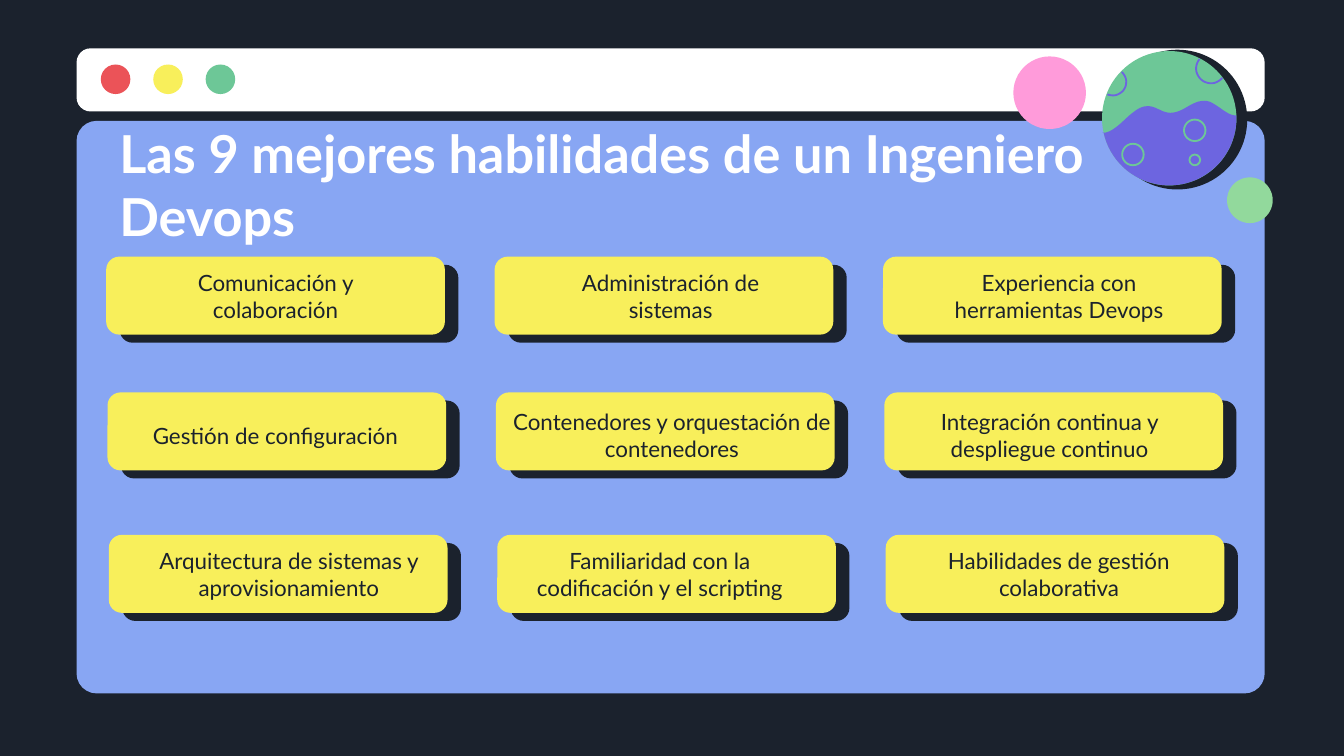
from dataclasses import dataclass
from math import atan2, cos, hypot, pi, sin

from pptx import Presentation
from pptx.dml.color import RGBColor
from pptx.enum.shapes import MSO_SHAPE
from pptx.enum.text import MSO_ANCHOR, PP_ALIGN
from pptx.shapes.autoshape import Shape
from pptx.slide import Slide
from pptx.util import Inches, Pt

OVAL, ROUNDED = MSO_SHAPE.OVAL, MSO_SHAPE.ROUNDED_RECTANGLE
LEFT, CENTER, MIDDLE = PP_ALIGN.LEFT, PP_ALIGN.CENTER, MSO_ANCHOR.MIDDLE

DARK, WHITE, BLUE, YELLOW = "1B222D", "FFFFFF", "88A6F3", "F8EF5B"
RED, GREEN, PURPLE, PINK, LIME = "EB5358", "6DC797", "6D65E0", "FF9BDA", "92D99C"

SLIDE_WIDTH = 10
SLIDE_HEIGHT = SLIDE_WIDTH * 9 / 16
UNITS_PER_INCH = 1000
GRID_LEFT, COLUMN_PITCH, ROW_SHIFT = 0.79, 2.89, 0.01
ROW_TOPS = (1.91, 2.92, 3.98)
LABEL_DROPS = (0, 0.03, 0)
CARD_WIDTH, CARD_HEIGHT = 2.52, 0.58
SHADOW_RIGHT, SHADOW_DOWN = 0.1, 0.06

Point = tuple[float, float]


@dataclass
class Disc:
    x: float
    y: float
    radius: float
    color: str


@dataclass
class Card:
    column: int
    row: int
    text: str
    label_shift: float
    label_width: float


PLANET = Disc(8.7, 0.88, 0.5, GREEN)
WINDOW_BUTTONS = [Disc(0.86 + 0.39 * index, 0.59, 0.11, color)
                  for index, color in enumerate((RED, YELLOW, GREEN))]
MOONS = [Disc(9.3, 1.49, 0.17, LIME), Disc(7.81, 0.69, 0.27, PINK)]
SEA_CRATERS = [Disc(8.43, 1.15, 0.08, GREEN), Disc(8.89, 0.97, 0.08, GREEN),
               Disc(8.89, 1.19, 0.04, GREEN)]
EDGE_CRATERS = [Disc(8.28, 0.61, 0.1, PURPLE), Disc(9.01, 0.51, 0.11, PURPLE)]
SHORE = [(8.2, 0.99), (8.54, 0.79), (8.71, 0.84), (8.96, 0.75), (9.2, 0.86)]

CARDS = [
    Card(0, 0, "Comunicación y colaboración", 0.2, 2.12),
    Card(1, 0, "Administración de sistemas", 0.25, 2.12),
    Card(2, 0, "Experiencia con herramientas Devops", 0.25, 2.12),
    Card(0, 1, "Gestión de configuración", 0.08, 2.34),
    Card(1, 1, "Contenedores y orquestación de contenedores", -0.09, 2.8),
    Card(2, 1, "Integración continua y despliegue continuo", 0, 2.46),
    Card(0, 2, "Arquitectura de sistemas y aprovisionamiento", 0.17, 2.34),
    Card(1, 2, "Familiaridad con la codificación y el scripting", 0.04, 2.34),
    Card(2, 2, "Habilidades de gestión colaborativa", 0.12, 2.34),
]


def rgb(color: str) -> RGBColor:
    return RGBColor.from_string(color)


def paint(shape: Shape, fill: str | None = None, line: str | None = None) -> None:
    shape.shadow.inherit = False
    if fill:
        shape.fill.solid()
        shape.fill.fore_color.rgb = rgb(fill)
    else:
        shape.fill.background()
    if line:
        shape.line.color.rgb = rgb(line)
        shape.line.width = Pt(1)
    else:
        shape.line.fill.background()


def add_panel(slide: Slide, left: float, top: float, width: float, height: float,
              color: str, rounding: float) -> None:
    shape = slide.shapes.add_shape(
        ROUNDED, Inches(left), Inches(top), Inches(width), Inches(height))
    shape.adjustments[0] = rounding
    paint(shape, fill=color)


def add_disc(slide: Slide, disc: Disc, hollow: bool = False) -> None:
    size = Inches(2 * disc.radius)
    shape = slide.shapes.add_shape(
        OVAL, Inches(disc.x - disc.radius), Inches(disc.y - disc.radius), size, size)
    if hollow:
        paint(shape, line=disc.color)
    else:
        paint(shape, fill=disc.color)


def add_outline(slide: Slide, points: list[Point], close: bool) -> Shape:
    units = [(x * UNITS_PER_INCH, y * UNITS_PER_INCH) for x, y in points]
    builder = slide.shapes.build_freeform(
        *units[0], scale=Inches(1) / UNITS_PER_INCH)
    builder.add_line_segments(units[1:], close=close)
    return builder.convert_to_shape()


def arc(disc: Disc, start: float, end: float, steps: int = 40) -> list[Point]:
    angles = [start + (end - start) * step / steps for step in range(steps + 1)]
    return [(disc.x + disc.radius * cos(angle), disc.y + disc.radius * sin(angle))
            for angle in angles]


def wave(crests: list[Point], steps: int = 12) -> list[Point]:
    points = [crests[0]]
    for (x1, y1), (x2, y2) in zip(crests, crests[1:]):
        for step in range(1, steps + 1):
            share = step / steps
            points.append((x1 + (x2 - x1) * share,
                           y1 + (y2 - y1) * (1 - cos(pi * share)) / 2))
    return points


def angle_from(disc: Disc, point: Point) -> float:
    return atan2(point[1] - disc.y, point[0] - disc.x)


def add_planet(slide: Slide) -> None:
    add_disc(slide, Disc(8.76, 0.89, 0.52, DARK))
    add_disc(slide, PLANET)
    coast = arc(PLANET, angle_from(PLANET, SHORE[-1]), angle_from(PLANET, SHORE[0]))
    paint(add_outline(slide, wave(SHORE) + coast, close=True), fill=PURPLE)
    for crater in SEA_CRATERS:
        add_disc(slide, crater, hollow=True)
    for crater in EDGE_CRATERS:
        inward = angle_from(crater, (PLANET.x, PLANET.y))
        rim = [(x, y) for x, y in arc(crater, inward - pi, inward + pi)
               if hypot(x - PLANET.x, y - PLANET.y) < PLANET.radius]
        paint(add_outline(slide, rim, close=False), line=crater.color)


def add_text(slide: Slide, text: str, *, left: float, top: float, width: float,
             height: float, size: float, color: str, bold: bool = False,
             alignment: PP_ALIGN = CENTER) -> None:
    box = slide.shapes.add_textbox(
        Inches(left), Inches(top), Inches(width), Inches(height))
    frame = box.text_frame
    frame.word_wrap = True
    frame.vertical_anchor = MIDDLE
    frame.margin_left = frame.margin_right = Inches(0.1)
    frame.margin_top = frame.margin_bottom = Inches(0.1)
    paragraph = frame.paragraphs[0]
    paragraph.alignment = alignment
    run = paragraph.add_run()
    run.text = text
    run.font.name = "Lato"
    run.font.size = Pt(size)
    run.font.bold = bold
    run.font.color.rgb = rgb(color)


def add_card(slide: Slide, card: Card) -> None:
    left = GRID_LEFT + card.column * COLUMN_PITCH + card.row * ROW_SHIFT
    top = ROW_TOPS[card.row]
    add_panel(slide, left + SHADOW_RIGHT, top + SHADOW_DOWN,
              CARD_WIDTH, CARD_HEIGHT, DARK, 0.167)
    add_panel(slide, left, top, CARD_WIDTH, CARD_HEIGHT, YELLOW, 0.167)
    add_text(slide, card.text, left=left + card.label_shift,
             top=top + LABEL_DROPS[card.row], width=card.label_width,
             height=CARD_HEIGHT, size=12, color=DARK)


def main() -> None:
    presentation = Presentation()
    presentation.slide_width = Inches(SLIDE_WIDTH)
    presentation.slide_height = Inches(SLIDE_HEIGHT)
    slide = presentation.slides.add_slide(presentation.slide_layouts[6])
    slide.background.fill.solid()
    slide.background.fill.fore_color.rgb = rgb(DARK)

    add_panel(slide, 0.57, 0.9, 8.84, 4.26, BLUE, 0.035)
    add_panel(slide, 0.57, 0.36, 8.84, 0.47, WHITE, 0.223)
    for button in WINDOW_BUTTONS:
        add_disc(slide, button)
    add_planet(slide)
    for moon in MOONS:
        add_disc(slide, moon)
    add_text(slide, "Las 9 mejores habilidades de un Ingeniero Devops",
             left=GRID_LEFT, top=1.06, width=8.43, height=0.62,
             size=28, color=WHITE, bold=True, alignment=LEFT)
    for card in CARDS:
        add_card(slide, card)
    presentation.save("out.pptx")


if __name__ == "__main__":
    main()
